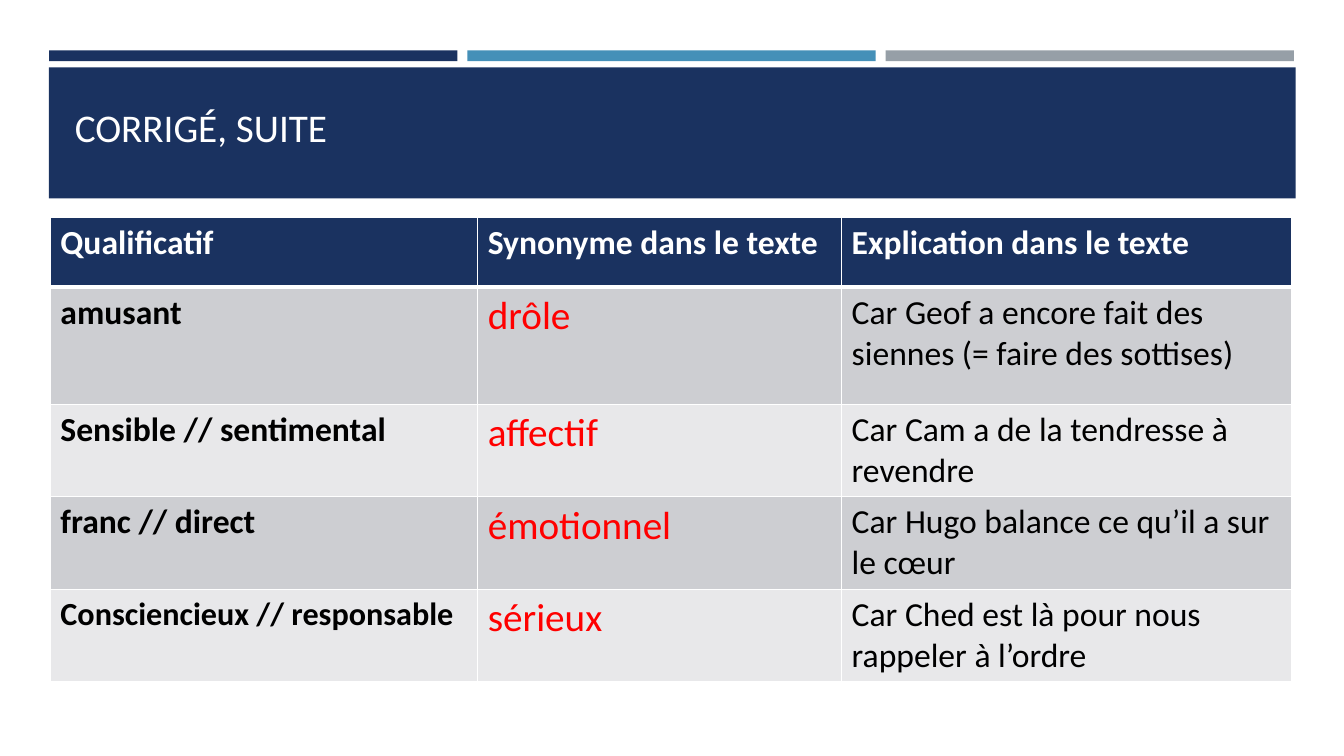
from dataclasses import dataclass

from lxml.etree import SubElement as Sub
from pptx import Presentation
from pptx.dml.color import RGBColor as RGB
from pptx.enum.shapes import MSO_SHAPE as Shape
from pptx.enum.text import MSO_ANCHOR as Anchor, PP_ALIGN as Align
from pptx.oxml.ns import qn
from pptx.util import Cm, Pt


@dataclass(frozen=True)
class Theme:
    face: str = "Calibri"
    navy: str = "1A3260"
    blue: str = "4590B8"
    grey: str = "969FA7"
    white: str = "FFFFFF"
    black: str = "000000"
    red: str = "FF0000"
    bands: tuple[str, str] = ("CDCED2", "E8E8EA")
    large: float = 28
    body: float = 24
    tight: float = 23


@dataclass(frozen=True)
class Bar:
    left: float
    top: float
    width: float
    height: float
    fill: str


@dataclass(frozen=True)
class Style:
    size: float
    color: str
    bold: bool = False


THEME = Theme()

# Three accent strips above the title banner
STRIPS = [Bar(1.24 + 10.54 * i, 1.27, 10.29, 0.27, fill)
          for i, fill in enumerate((THEME.navy, THEME.blue, THEME.grey))]
BANNER = Bar(1.23, 1.7, 31.42, 3.3, THEME.navy)

# Table content and look
HEAD = Style(THEME.body, THEME.white, True)
LOOKS = (Style(THEME.body, THEME.black, True),
         Style(THEME.large, THEME.red),
         Style(THEME.body, THEME.black))
TIGHT = Style(THEME.tight, THEME.black, True)
WIDTHS = (10.77, 9.17, 11.35)
HEIGHTS = (1.75, 2.95, 2.33, 2.33, 2.33)
ROWS = (
    ("Qualificatif", "Synonyme dans le texte", "Explication dans le texte"),
    ("amusant", "drôle",
     "Car Geof a encore fait des siennes (= faire des sottises)"),
    ("Sensible // sentimental", "affectif",
     "Car Cam a de la tendresse à revendre"),
    ("franc // direct", "émotionnel",
     "Car Hugo balance ce qu’il a sur le cœur"),
    ("Consciencieux // responsable", "sérieux",
     "Car Ched est là pour nous rappeler à l’ordre"),
)


def write(frame, text: str, style: Style) -> None:
    frame.text = text
    par = frame.paragraphs[0]
    par.alignment = Align.LEFT
    font = par.font
    font.name, font.size, font.bold = THEME.face, Pt(style.size), style.bold
    font.color.rgb = RGB.from_string(style.color)


def draw_bar(slide, bar: Bar) -> None:
    shape = slide.shapes.add_shape(
        Shape.RECTANGLE, Cm(bar.left), Cm(bar.top), Cm(bar.width), Cm(bar.height))
    shape.shadow.inherit = False
    shape.fill.solid()
    shape.fill.fore_color.rgb = RGB.from_string(bar.fill)
    shape.line.fill.background()


def edge(cell, side: str, width: float) -> None:
    line = Sub(cell._tc.get_or_add_tcPr(), qn(f"a:ln{side}"), w=str(Pt(width)))
    Sub(Sub(line, qn("a:solidFill")), qn("a:srgbClr"), val=THEME.white)


def draw_cell(cell, text: str, style: Style, fill: str, top: float, base: float) -> None:
    write(cell.text_frame, text, style)
    for side, width in (("L", 1), ("R", 1), ("T", top), ("B", base)):
        edge(cell, side, width)
    cell.fill.solid()
    cell.fill.fore_color.rgb = RGB.from_string(fill)


def draw_table(slide) -> None:
    grid = slide.shapes.add_table(
        len(ROWS), len(WIDTHS), Cm(1.27), Cm(5.49),
        Cm(sum(WIDTHS)), Cm(sum(HEIGHTS))).table
    for col, width in zip(grid.columns, WIDTHS):
        col.width = Cm(width)
    for r, (texts, height) in enumerate(zip(ROWS, HEIGHTS)):
        grid.rows[r].height = Cm(height)
        fill = THEME.bands[(r - 1) % 2] if r else THEME.navy
        for c, text in enumerate(texts):
            style = LOOKS[c] if r else HEAD
            if r == len(ROWS) - 1 and c == 0:
                style = TIGHT
            draw_cell(grid.cell(r, c), text, style, fill,
                      top=3 if r == 1 else 1, base=1 if r else 3)


def draw_title(slide) -> None:
    title = slide.shapes.title
    title.left, title.top = Cm(1.63), Cm(1.96)
    title.width, title.height = Cm(30.63), Cm(1.96)
    title.text_frame.vertical_anchor = Anchor.BOTTOM
    write(title.text_frame, "CORRIGÉ, SUITE", Style(THEME.large, THEME.white))
    # Bring the title in front of the banner
    title.element.getparent().append(title.element)


def main() -> None:
    deck = Presentation()
    deck.slide_width, deck.slide_height = Cm(33.87), Cm(19.05)
    slide = deck.slides.add_slide(deck.slide_layouts[5])
    for bar in (*STRIPS, BANNER):
        draw_bar(slide, bar)
    draw_table(slide)
    draw_title(slide)
    deck.save("out.pptx")


if __name__ == "__main__":
    main()
